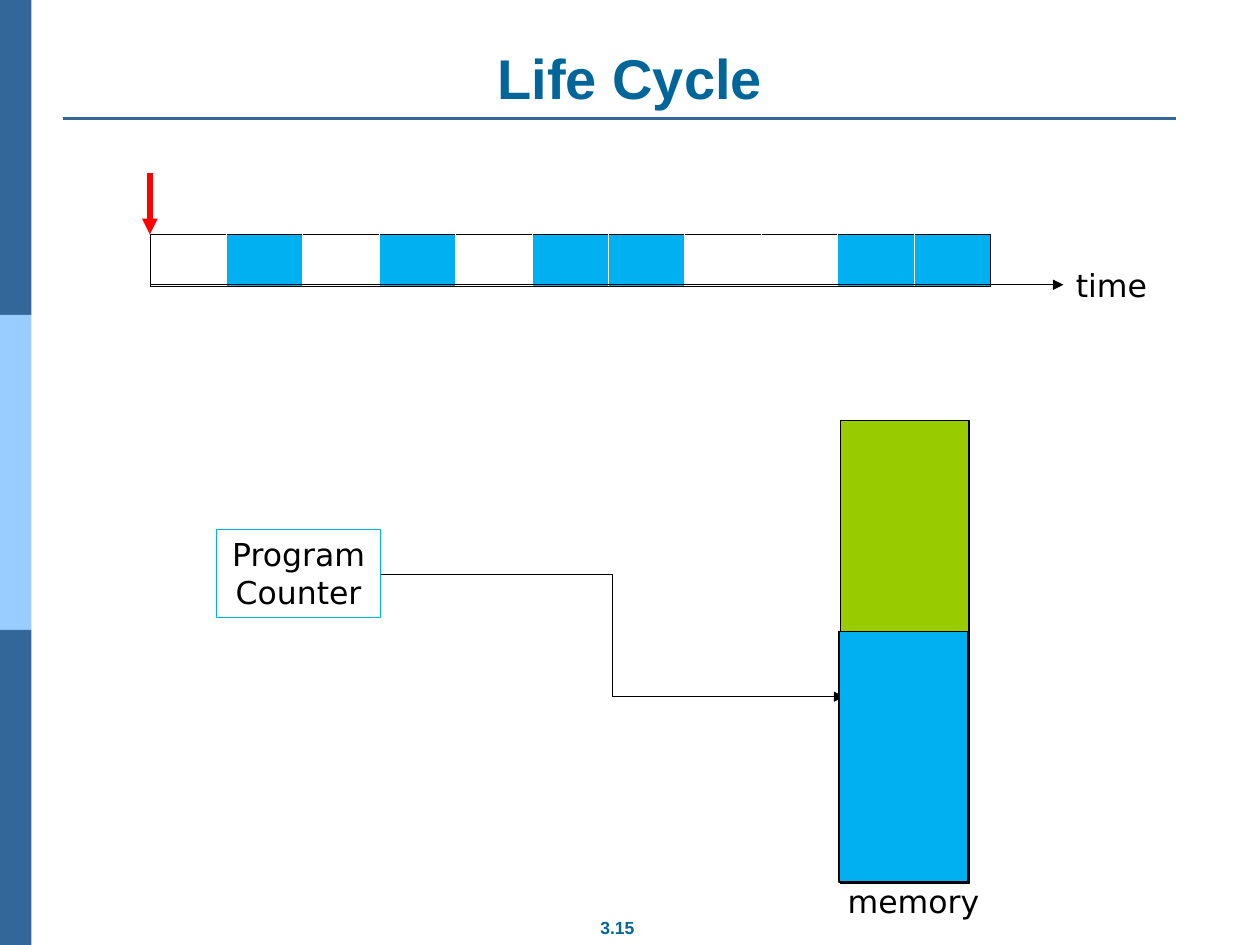
from lxml import etree
from pptx import Presentation
from pptx import util as u
from pptx.dml.color import RGBColor
from pptx.enum import shapes, text
from pptx.oxml import ns

NAVY, PALE, TEAL = "336699", "99CCFF", "006699"
SKY, LIME, RED = "00B0F0", "99CC00", "FF0000"
BLACK, WHITE = "000000", "FFFFFF"

BARS = [NAVY, PALE, NAVY]
SLOTS = [None, SKY, WHITE, SKY, WHITE, SKY, SKY, WHITE, WHITE, SKY, SKY]
START, TOP, WIDE, HIGH = 1.19, 1.86, 6.67, 0.41
STRAIGHT = shapes.MSO_CONNECTOR.STRAIGHT
ELBOW = shapes.MSO_CONNECTOR.ELBOW
LEFT, MID = text.PP_ALIGN.LEFT, text.PP_ALIGN.CENTER


def color(code):
    return RGBColor.from_string(code)


def inches(*nums):
    return [u.Inches(n) for n in nums]


def add(root, tag, **attrs):
    return etree.SubElement(root, ns.qn(tag), attrs)


def write(shape, words, size=18, font="DejaVu Sans", tint=BLACK,
          bold=False, align=LEFT, anchor=text.MSO_ANCHOR.TOP, wrap=True):
    frame = shape.text_frame
    frame.word_wrap = wrap
    frame.vertical_anchor = anchor
    para = frame.paragraphs[0]
    para.alignment = align
    run = para.add_run()
    run.text = words
    run.font.size = u.Pt(size)
    run.font.name = font
    run.font.bold = bold
    run.font.color.rgb = color(tint)


def label(at, words, **style):
    write(slide.shapes.add_textbox(*inches(*at)), words, **style)


def rect(at, fill=None, line=None):
    shape = slide.shapes.add_shape(shapes.MSO_SHAPE.RECTANGLE, *inches(*at))
    shape.shadow.inherit = False
    if fill:
        shape.fill.solid()
        shape.fill.fore_color.rgb = color(fill)
    else:
        shape.fill.background()
    if line:
        shape.line.color.rgb = color(line)
        shape.line.width = u.Pt(0.75)
    else:
        shape.line.fill.background()
    return shape


def link(ends, tint=BLACK, width=0.75, kind=STRAIGHT, arrow=True):
    line = slide.shapes.add_connector(kind, *inches(*ends))
    line.line.color.rgb = color(tint)
    line.line.width = u.Pt(width)
    if arrow:
        add(line.line._get_or_add_ln(), "a:tailEnd", type="triangle")
    add(line._element.spPr, "a:effectLst")


def paint(cell, fill, edges):
    props = cell._tc.get_or_add_tcPr()
    for side, tint in edges.items():
        edge = add(props, "a:ln" + side, w=str(u.Pt(0.45)))
        add(add(edge, "a:solidFill"), "a:srgbClr", val=tint)
    if fill:
        cell.fill.solid()
        cell.fill.fore_color.rgb = color(fill)
    else:
        cell.fill.background()
    cell.text_frame.paragraphs[0].font.size = u.Pt(10)


def strip():
    count = len(SLOTS)
    grid = slide.shapes.add_table(
        1, count, *inches(START, TOP, WIDE, HIGH)).table
    grid.first_row = grid.horz_banding = False
    for i, fill in enumerate(SLOTS):
        grid.columns[i].width = u.Inches(WIDE / count)
        paint(grid.cell(0, i), fill, {
            "L": BLACK if i == 0 else WHITE,
            "R": BLACK if i == count - 1 else WHITE,
            "T": BLACK, "B": BLACK})


deck = Presentation()
deck.slide_width, deck.slide_height = inches(10, 7.5)
slide = deck.slides.add_slide(deck.slide_layouts[6])

for i, tint in enumerate(BARS):
    rect((0, 2.5 * i, 0.25, 2.5), tint)
link((0.5, 0.94, 9.33, 0.94), NAVY, 1.5, arrow=False)
label((4.41, 7.23, 0.98, 0.27), "3.15", size=10, font="Arial", tint=TEAL,
      bold=True, align=MID, wrap=False)
label((0.5, 0.3, 9, 0.63), "Life Cycle", size=32, font="Arial", tint=TEAL,
      bold=True, align=MID, anchor=text.MSO_ANCHOR.BOTTOM)

strip()
link((START, TOP + 0.4, 8.44, TOP + 0.4))
label((8.44, 2.06, 1.5, 0.4), "time")

link((3.02, 4.56, 6.7, 5.53), kind=ELBOW)
write(rect((1.72, 4.2, 1.3, 0.7), line=SKY), "Program Counter", align=MID)
rect((6.67, 3.34, 1.02, 3.67), LIME, BLACK)
label((6.63, 6.95, 2.16, 0.4), "memory")
rect((6.66, 5.01, 1.02, 1.99), SKY, BLACK)
link((START, 1.37, START, TOP), RED, 3)

deck.save("out.pptx")
